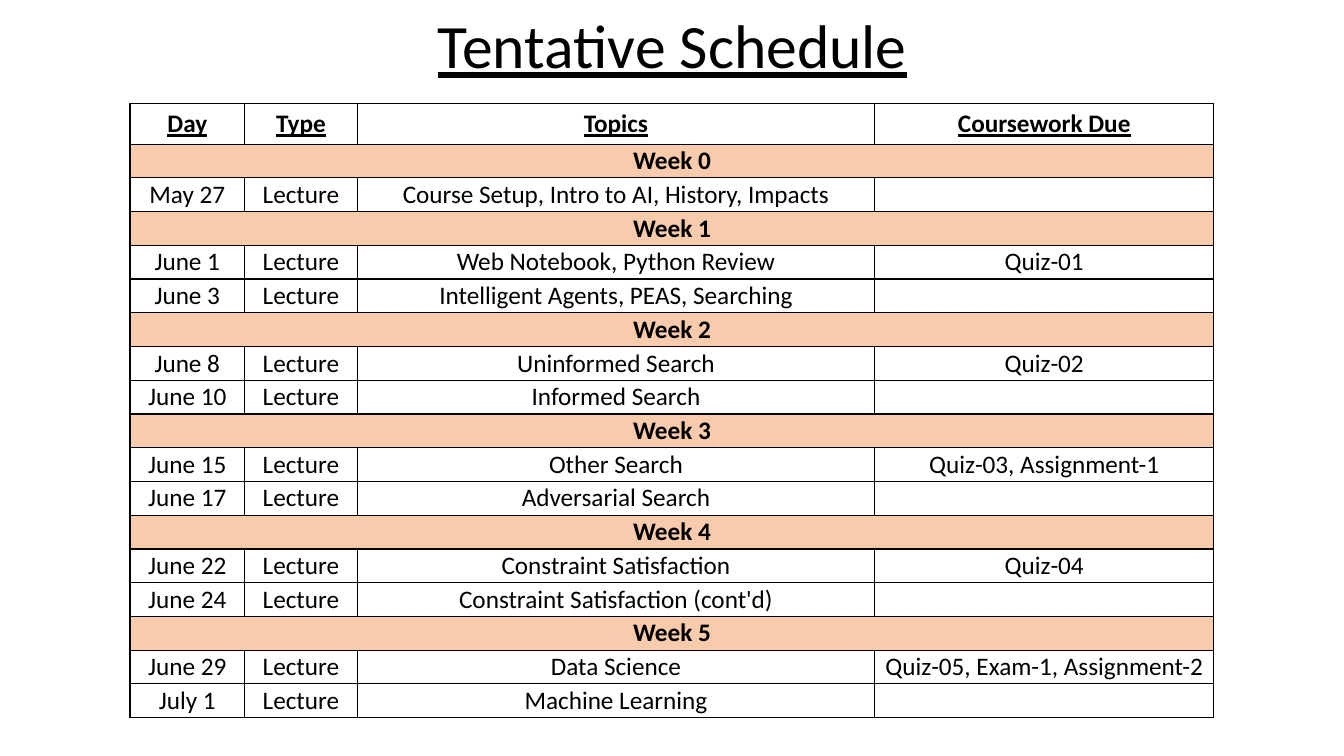
from lxml import etree
from pptx import Presentation
from pptx import util as u
from pptx.dml.color import RGBColor
from pptx.enum import text
from pptx.oxml.ns import qn

PX = 4572  # EMU per px, 200 px to the inch
BLACK = RGBColor(0x00, 0x00, 0x00)
PEACH = RGBColor(0xF8, 0xCB, 0xAD)

HEADINGS = ["Day", "Type", "Topics", "Coursework Due"]
WEEKS = [
    [("May 27", "Course Setup, Intro to AI, History, Impacts", "")],
    [("June 1", "Web Notebook, Python Review", "Quiz-01"),
     ("June 3", "Intelligent Agents, PEAS, Searching", "")],
    [("June 8", "Uninformed Search", "Quiz-02"),
     ("June 10", "Informed Search", "")],
    [("June 15", "Other Search", "Quiz-03, Assignment-1"),
     ("June 17", "Adversarial Search", "")],
    [("June 22", "Constraint Satisfaction", "Quiz-04"),
     ("June 24", "Constraint Satisfaction (cont'd)", "")],
    [("June 29", "Data Science", "Quiz-05, Exam-1, Assignment-2"),
     ("July 1", "Machine Learning", "")],
]
COL_WIDTHS = [227, 224, 1026, 673]
HEADER_HEIGHT, ROW_HEIGHT = 80, 67


class SlideBuilder:
    font = "Calibri"
    color = BLACK

    def __init__(self, slide):
        self.s = slide

    def add_text(self, tf, content, size, bold=False, underline=False):
        p = tf.paragraphs[0]
        p.alignment = text.PP_ALIGN.CENTER
        if content:
            r = p.add_run()
            r.text = content
            r.font.name, r.font.size = self.font, u.Pt(size)
            r.font.bold, r.font.underline = bold, underline
            r.font.color.rgb = self.color
        return p

    def title(self, content, x, y, w, h):
        tf = self.s.shapes.add_textbox(x * PX, y * PX, w * PX, h * PX).text_frame
        tf.word_wrap = True
        tf.vertical_anchor = text.MSO_ANCHOR.MIDDLE
        self.add_text(tf, content, 44, underline=True).line_spacing = 0.9

    def table(self, x, y, widths, heights):
        frame = self.s.shapes.add_table(len(heights), len(widths), x * PX, y * PX,
                                        sum(widths) * PX, sum(heights) * PX)
        tbl = frame.table
        tbl.first_row = tbl.horz_banding = False
        for col, w in zip(tbl.columns, widths):
            col.width = w * PX
        for row, h in zip(tbl.rows, heights):
            row.height = h * PX
        return tbl

    def cell(self, cell, content, fill=None, **style):
        cell.margin_left = cell.margin_right = 14 * PX
        cell.margin_top = cell.margin_bottom = 0
        cell.vertical_anchor = text.MSO_ANCHOR.MIDDLE
        if fill is None:
            cell.fill.background()
        else:
            cell.fill.solid()
            cell.fill.fore_color.rgb = fill
        self.borders(cell)
        self.add_text(cell.text_frame, content, 18, **style)

    def borders(self, cell):
        """Put a 1 pt line on all four sides, ahead of the fill as the schema asks."""
        tc_pr = cell._tc.get_or_add_tcPr()
        for i, side in enumerate(("a:lnL", "a:lnR", "a:lnT", "a:lnB")):
            ln = etree.Element(qn(side), w=str(u.Pt(1)))
            solid = etree.SubElement(ln, qn("a:solidFill"))
            etree.SubElement(solid, qn("a:srgbClr"), val=str(self.color))
            tc_pr.insert(i, ln)


def main():
    prs = Presentation()
    prs.slide_width, prs.slide_height = u.Inches(13.33), u.Inches(7.5)
    b = SlideBuilder(prs.slides.add_slide(prs.slide_layouts[6]))
    b.title("Tentative Schedule", 184, 10, 2300, 174)

    rows = [(HEADINGS, dict(bold=True, underline=True))]
    for n, lectures in enumerate(WEEKS):
        rows.append(([f"Week {n}", "", "", ""], dict(bold=True, fill=PEACH)))
        rows += [((day, "Lecture", topic, due), {}) for day, topic, due in lectures]

    heights = [HEADER_HEIGHT] + [ROW_HEIGHT] * (len(rows) - 1)
    tbl = b.table(258, 206, COL_WIDTHS, heights)
    for i, (values, style) in enumerate(rows):
        for j, value in enumerate(values):
            b.cell(tbl.cell(i, j), value, **style)
        if "fill" in style:
            tbl.cell(i, 0).merge(tbl.cell(i, len(values) - 1))

    prs.save("out.pptx")


if __name__ == "__main__":
    main()
